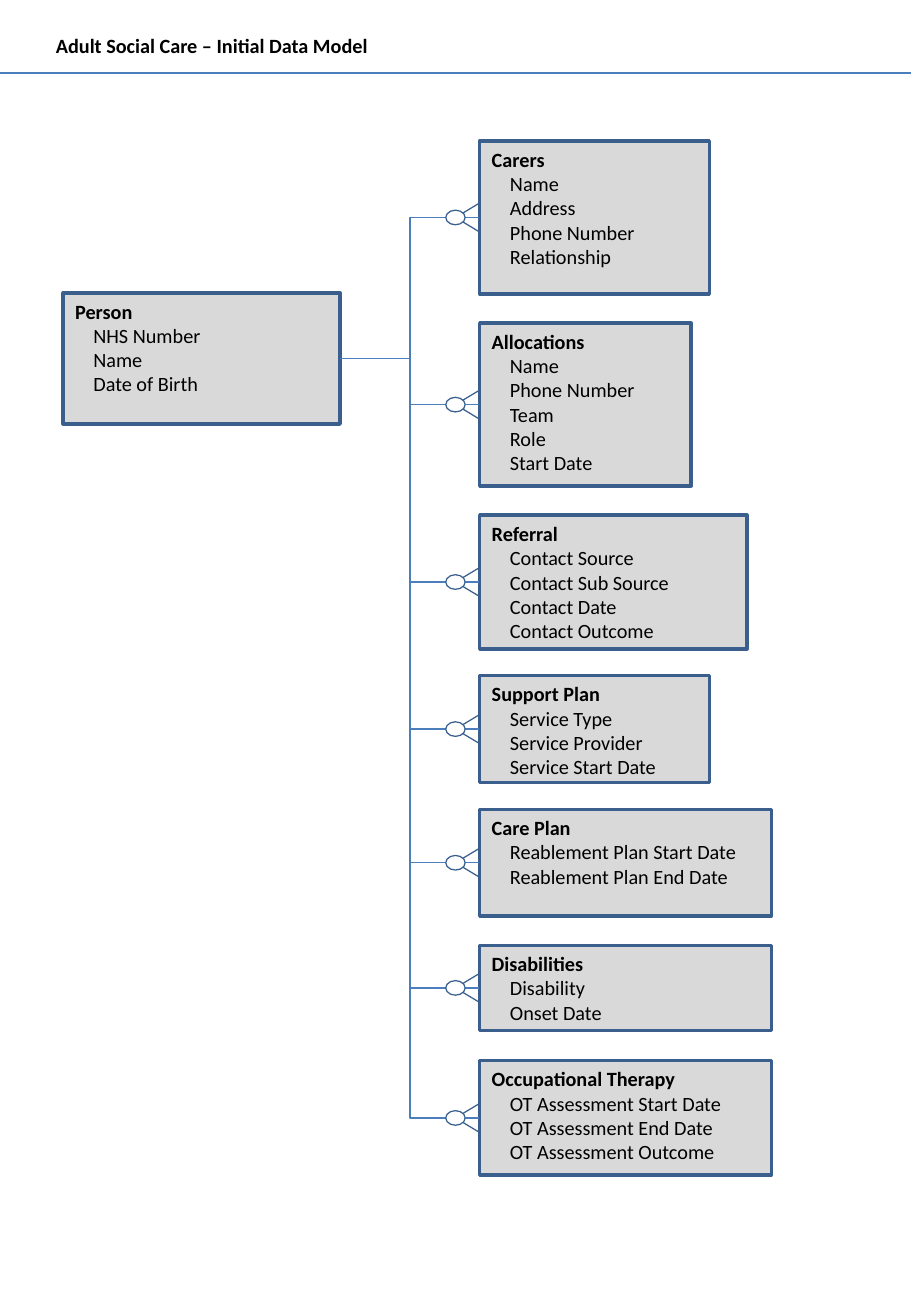
"""Builds the Adult Social Care data model slide."""
from dataclasses import dataclass

from lxml.etree import SubElement
from pptx import Presentation
from pptx.dml.color import RGBColor
from pptx.enum.shapes import MSO_CONNECTOR, MSO_SHAPE
from pptx.enum.text import MSO_ANCHOR, MSO_AUTO_SIZE, PP_ALIGN
from pptx.oxml.ns import qn
from pptx.shapes.autoshape import Shape
from pptx.shapes.connector import Connector
from pptx.slide import Slide
from pptx.text.text import TextFrame
from pptx.util import Inches, Pt

COLORS = {"text": "000000", "box": "D9D9D9", "border": "3A5F8C",
          "link": "4B7EBC", "marker": "FFFFFF"}
FONT = "Calibri"
FONT_SIZE = Pt(12)
THIN, THICK = Pt(0.75), Pt(2)
CHILD_LEFT = 3.95
FIELD_INDENT = Inches(0.15)
RIGHT_SITE, LEFT_SITE = 3, 1


@dataclass(frozen=True)
class Entity:
    """A named box of fields, placed in inches."""
    name: str
    fields: tuple[str, ...]
    top: float
    width: float
    height: float
    left: float = CHILD_LEFT

    @property
    def middle(self) -> float:
        """Return the vertical centre in inches."""
        return self.top + self.height / 2


PERSON = Entity("Person", ("NHS Number", "Name", "Date of Birth"), 2.41, 2.28, 1.08, 0.52)
CHILDREN = (
    Entity("Carers", ("Name", "Address", "Phone Number", "Relationship"), 1.16, 1.89, 1.26),
    Entity("Allocations", ("Name", "Phone Number", "Team", "Role", "Start Date"),
           2.66, 1.74, 1.34),
    Entity("Referral", ("Contact Source", "Contact Sub Source", "Contact Date",
                        "Contact Outcome"), 4.24, 2.2, 1.1),
    Entity("Support Plan", ("Service Type", "Service Provider", "Service Start Date"),
           5.56, 1.89, 0.88),
    Entity("Care Plan", ("Reablement Plan Start Date", "Reablement Plan End Date"),
           6.66, 2.4, 0.88),
    Entity("Disabilities", ("Disability", "Onset Date"), 7.78, 2.4, 0.7),
    Entity("Occupational Therapy", ("OT Assessment Start Date", "OT Assessment End Date",
                                    "OT Assessment Outcome"), 8.73, 2.4, 0.94),
)


def color(key: str) -> RGBColor:
    """Return a palette colour."""
    return RGBColor.from_string(COLORS[key])


def add_text(tf: TextFrame, lines: tuple[str, ...]) -> None:
    """Write a bold heading followed by indented fields."""
    for i, line in enumerate(lines):
        p = tf.add_paragraph() if i else tf.paragraphs[0]
        p.alignment = PP_ALIGN.LEFT
        if i:
            p._p.get_or_add_pPr().set("marL", str(FIELD_INDENT))
        r = p.add_run()
        r.text = line
        r.font.name, r.font.size, r.font.bold = FONT, FONT_SIZE, i == 0
        r.font.color.rgb = color("text")


def add_title(s: Slide, text: str) -> None:
    """Move and format the title placeholder."""
    sp = s.shapes.title
    sp.left, sp.top, sp.width, sp.height = map(Inches, (0.36, 0.22, 2.89, 0.3))
    tf = sp.text_frame
    tf.word_wrap, tf.auto_size = False, MSO_AUTO_SIZE.NONE
    tf.vertical_anchor = MSO_ANCHOR.MIDDLE
    add_text(tf, (text,))


def add_outlined(s: Slide, kind: MSO_SHAPE, left: float, top: float, width: float,
                 height: float, fill: str | None, weight: Pt) -> Shape:
    """Add a bordered shape without a shadow."""
    sp = s.shapes.add_shape(kind, *map(Inches, (left, top, width, height)))
    sp.shadow.inherit = False
    if fill:
        sp.fill.solid()
        sp.fill.fore_color.rgb = color(fill)
    else:
        sp.fill.background()
    sp.line.color.rgb, sp.line.width = color("border"), weight
    return sp


def add_entity(s: Slide, entity: Entity) -> Shape:
    """Add an entity box with its heading and fields."""
    sp = add_outlined(s, MSO_SHAPE.RECTANGLE, entity.left, entity.top,
                      entity.width, entity.height, "box", THICK)
    tf = sp.text_frame
    tf.word_wrap, tf.vertical_anchor = True, MSO_ANCHOR.TOP
    add_text(tf, (entity.name, *entity.fields))
    return sp


def add_line(s: Slide, kind: MSO_CONNECTOR, x1: float, y1: float,
             x2: float, y2: float) -> Connector:
    """Add a thin connector without a shadow."""
    line = s.shapes.add_connector(kind, *map(Inches, (x1, y1, x2, y2)))
    line.line.color.rgb, line.line.width = color("link"), THIN
    SubElement(line._element.spPr, qn("a:effectLst"))
    return line


def add_crow_foot(s: Slide, middle: float) -> None:
    """Add the zero-or-many marker beside a child box."""
    foot = add_outlined(s, MSO_SHAPE.ISOSCELES_TRIANGLE, 3.73, middle - 0.1,
                        0.24, 0.2, None, THIN)
    foot.rotation = 270
    add_outlined(s, MSO_SHAPE.OVAL, 3.67, middle - 0.06, 0.16, 0.12, "marker", THIN)


def build() -> None:
    """Build and save the slide."""
    prs = Presentation()
    prs.slide_width, prs.slide_height = Inches(7.5), Inches(10.83)
    s = prs.slides.add_slide(prs.slide_layouts[5])
    add_title(s, "Adult Social Care – Initial Data Model")
    add_line(s, MSO_CONNECTOR.STRAIGHT, 0, 0.6, 7.5, 0.6)
    person = add_entity(s, PERSON)
    for child in CHILDREN:
        box = add_entity(s, child)
        link = add_line(s, MSO_CONNECTOR.ELBOW, PERSON.left + PERSON.width, PERSON.middle,
                        child.left, child.middle)
        link.begin_connect(person, RIGHT_SITE)
        link.end_connect(box, LEFT_SITE)
        add_crow_foot(s, child.middle)
    prs.save("out.pptx")


build()
